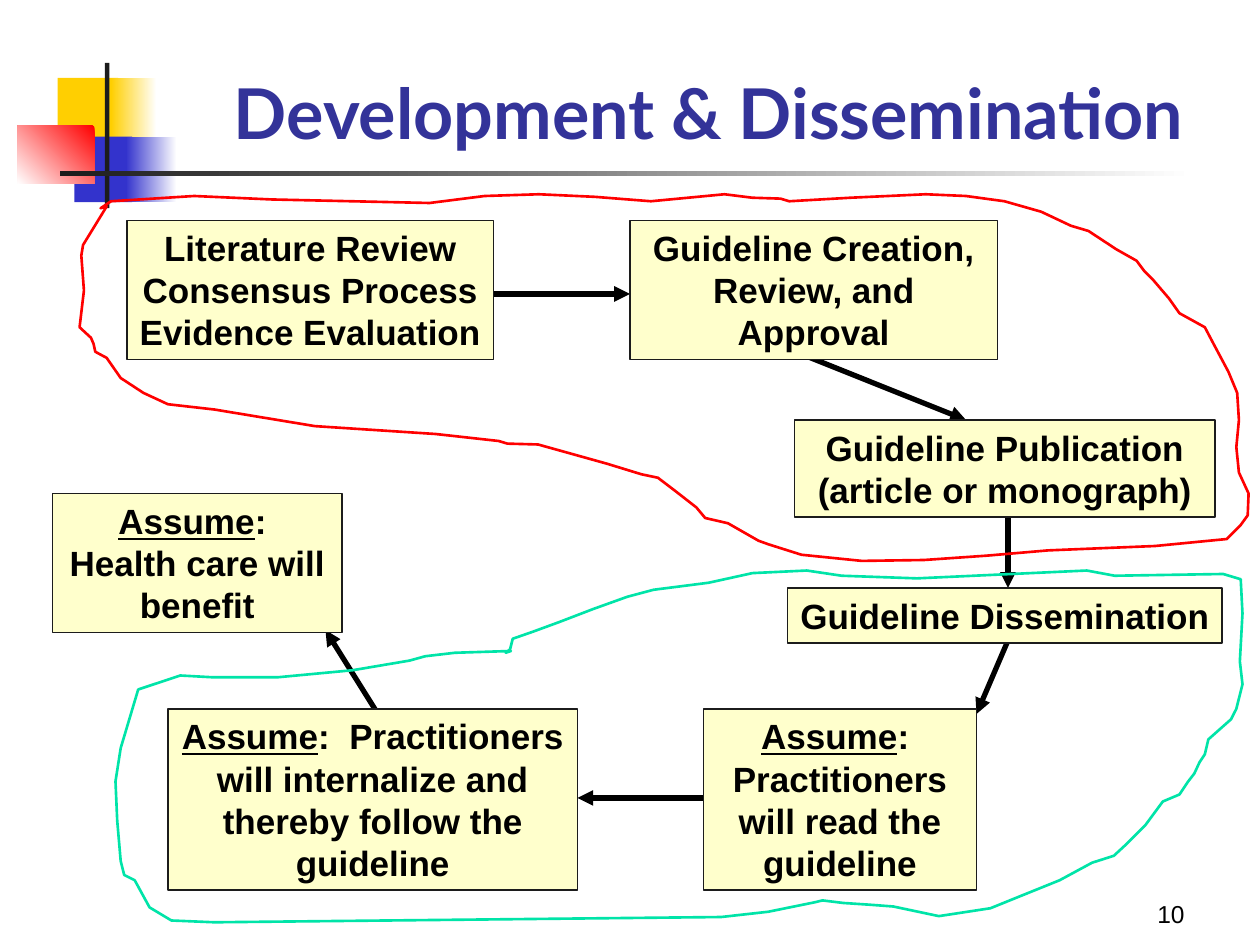
import pptx
import pptx.util
import pptx.dml.color
import pptx.oxml
import pptx.oxml.ns
import pptx.enum.shapes
import pptx.enum.text

Pt = pptx.util.Pt
RGB = pptx.dml.color.RGBColor.from_string
SHAPE = pptx.enum.shapes.MSO_SHAPE
ALIGN = pptx.enum.text.PP_ALIGN
ANCHOR = pptx.enum.text.MSO_ANCHOR
COLORS = {
    "white": "FFFFFF", "black": "000000", "ink": "1C1C1C", "title": "333399",
    "yellow": "FFCF01", "blue": "3333CC", "red": "FF0000",
    "cream": "FFFFCC", "teal": "00E4A8",
}

deck = pptx.Presentation()
deck.slide_width, deck.slide_height = Pt(720), Pt(540)
slide = deck.slides.add_slide(deck.slide_layouts[5])


def add_rect(left, top, width, height):
    rect = slide.shapes.add_shape(SHAPE.RECTANGLE, Pt(left), Pt(top), Pt(width), Pt(height))
    rect.shadow.inherit = False
    return rect


def style_text(paragraph, size, color, font, bold, align):
    paragraph.alignment = align
    paragraph.font.size = Pt(size)
    paragraph.font.color.rgb = RGB(COLORS[color])
    paragraph.font.name = font
    paragraph.font.bold = bold


# Corner ornament: left, top, width, height, first colour, last colour, angle
ornament = [
    (33, 44.5, 34.5, 37.5, "yellow", "yellow", 0),
    (63.5, 44.5, 26, 37.5, "white", "yellow", 180),
    (42.5, 78, 33, 37.5, "blue", "blue", 0),
    (72, 78, 29, 37.5, "white", "blue", 180),
    (10, 72, 44, 33, "red", "white", 225),
    (60, 36, 2.5, 83, "ink", "ink", 0),
    (34.5, 98, 648, 2.5, "white", "ink", 180),
]
for *place, first, last, angle in ornament:
    block = add_rect(*place)
    block.line.fill.background()
    if first == last:
        block.fill.solid()
        block.fill.fore_color.rgb = RGB(COLORS[first])
    else:
        block.fill.gradient()
        block.fill.gradient_angle = angle
        for stop, color in zip(block.fill.gradient_stops, (first, last)):
            stop.color.rgb = RGB(COLORS[color])

# Title
title = slide.shapes.title
title.left, title.top, title.width, title.height = Pt(90), Pt(1), Pt(630), Pt(90.5)
title.text_frame.text = "Development & Dissemination"
title.text_frame.vertical_anchor = ANCHOR.BOTTOM
style_text(title.text_frame.paragraphs[0], 40, "title", "Lato", True, ALIGN.CENTER)

# Arrows between the steps: from x, y to x, y
arrows = [
    (282, 168, 360, 168),
    (462, 204, 552, 240),
    (576, 294, 576, 336),
    (576, 366, 558, 408),
    (402, 456, 330, 456),
    (216, 408, 186, 360),
]
for ends in arrows:
    arrow = slide.shapes.add_connector(
        pptx.enum.shapes.MSO_CONNECTOR.STRAIGHT, *[Pt(value) for value in ends])
    arrow.line.color.rgb = RGB(COLORS["black"])
    arrow.line.width = Pt(3)
    head = pptx.oxml.parse_xml(
        f'<a:tailEnd {pptx.oxml.ns.nsdecls("a")} type="triangle"/>')
    arrow.line._get_or_add_ln().append(head)
    arrow._element.spPr.append(
        pptx.oxml.parse_xml(f'<a:effectLst {pptx.oxml.ns.nsdecls("a")}/>'))

# Steps: left, top, width, height, wrap, paragraphs
ASSUME = "Assume"
steps = [
    (72.5, 126, 209.5, 79.5, False,
     ["Literature Review", "Consensus Process", "Evidence Evaluation"]),
    (360, 126, 210, 79.5, True, ["Guideline Creation,", "Review, and Approval"]),
    (454, 240, 240.5, 55.5, True, ["Guideline Publication", "(article or monograph)"]),
    (450, 336, 248.5, 31.5, False, ["Guideline Dissemination"]),
    (402, 405, 156, 103.5, True, ["Assume:  Practitioners will read the guideline"]),
    (96, 405, 234, 103.5, True,
     ["Assume:  Practitioners will internalize and thereby follow the guideline"]),
    (30, 282, 165.5, 79.5, True, ["Assume:  Health care will benefit"]),
]
for *place, wrap, lines in steps:
    step = add_rect(*place)
    step.fill.solid()
    step.fill.fore_color.rgb = RGB(COLORS["cream"])
    step.line.color.rgb = RGB(COLORS["ink"])
    step.line.width = Pt(1)
    frame = step.text_frame
    frame.word_wrap = wrap
    frame.vertical_anchor = ANCHOR.TOP
    for index, line in enumerate(lines):
        paragraph = frame.add_paragraph() if index else frame.paragraphs[0]
        if line.startswith(ASSUME):
            lead = paragraph.add_run()
            lead.text = ASSUME
            lead.font.underline = True
        paragraph.add_run().text = line.removeprefix(ASSUME)
        style_text(paragraph, 20, "black", "Arial", True, ALIGN.CENTER)

# Hand-drawn loops around the two phases
development = [
    (61, 118), (47.5, 140), (46.5, 146), (48, 166), (45.5, 187), (52, 193),
    (53.5, 196.5), (54.5, 201), (61, 204.5), (69, 216), (82, 224.5), (96, 231),
    (122.5, 234), (180, 243.5), (249, 248), (285, 252), (290, 253.5), (307.5, 254),
    (325.5, 259), (347, 265), (366.5, 271), (376, 273), (386.5, 281), (398, 290),
    (403, 296), (416, 299), (433.5, 309), (439, 311), (458, 317), (492.5, 320.5),
    (528, 320), (564, 317.5), (599, 314.5), (660, 312), (701, 308), (709, 300),
    (713, 294.5), (713.5, 282), (708, 270), (706.5, 255.5), (708, 240), (707, 224.5),
    (702, 212.5), (693.5, 196.5), (688.5, 187), (674, 179), (668, 170.5), (659, 160),
    (654, 155), (649.5, 149), (638, 142.5), (622, 132), (612, 129), (595, 121),
    (574, 115), (552, 112), (529, 111), (486, 113), (451, 115), (446, 113.5),
    (430, 113), (414, 111), (372, 115), (340, 112.5), (308, 111), (277, 112),
    (245.5, 116), (155.5, 114), (111, 112), (63.5, 115), (57.5, 119),
]
dissemination = [
    (292, 372), (260, 373), (243, 375), (234, 377.5), (201.5, 383), (159, 387),
    (121, 387), (103, 386), (79, 394), (69, 427.5), (66, 446.5), (67, 469),
    (69, 492), (71, 500), (77, 503), (85.5, 518.5), (98, 526), (122.5, 527),
    (412, 524), (439, 521), (466, 515.5), (470, 514.5), (482, 516), (497.5, 517),
    (510.5, 518), (536.5, 523.5), (566, 519), (582, 512.5), (605.5, 503), (624, 493),
    (636.5, 489), (643.5, 482.5), (654.5, 471.5), (664.5, 458), (674, 454),
    (679, 446.5), (682.5, 442), (685.5, 435.5), (688.5, 431), (690.5, 422.5),
    (703.5, 411), (706.5, 405), (710, 391), (708.5, 378), (710, 350.5), (709, 331),
    (699, 328), (637, 329), (621, 326), (524, 330.5), (481, 329), (461, 326),
    (430, 327.5), (405, 333), (373.5, 337), (358.5, 341), (339, 348), (319.5, 355.5),
    (304.5, 361), (293, 365), (291.5, 371), (289, 373),
]
for outline, color in ((development, "red"), (dissemination, "teal")):
    start, *rest = [(Pt(x), Pt(y)) for x, y in outline]
    builder = slide.shapes.build_freeform(*start)
    builder.add_line_segments(rest, close=True)
    loop = builder.convert_to_shape()
    loop.shadow.inherit = False
    loop.fill.background()
    loop.line.color.rgb = RGB(COLORS[color])
    loop.line.width = Pt(1.5)

# Page number
page = slide.shapes.add_textbox(Pt(534), Pt(498), Pt(150), Pt(36)).text_frame
page.word_wrap = True
page.vertical_anchor = ANCHOR.BOTTOM
page.text = "10"
style_text(page.paragraphs[0], 14, "black", "Arial", False, ALIGN.RIGHT)

deck.save("out.pptx")
